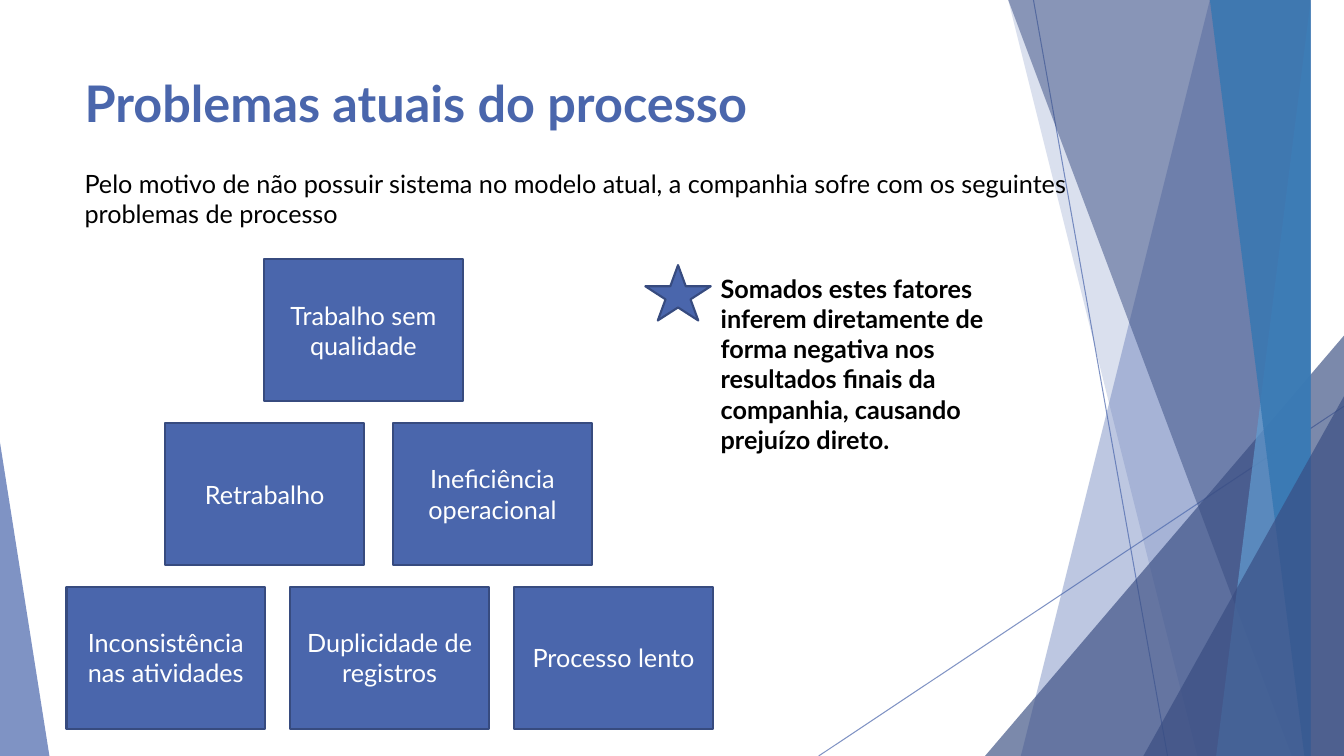
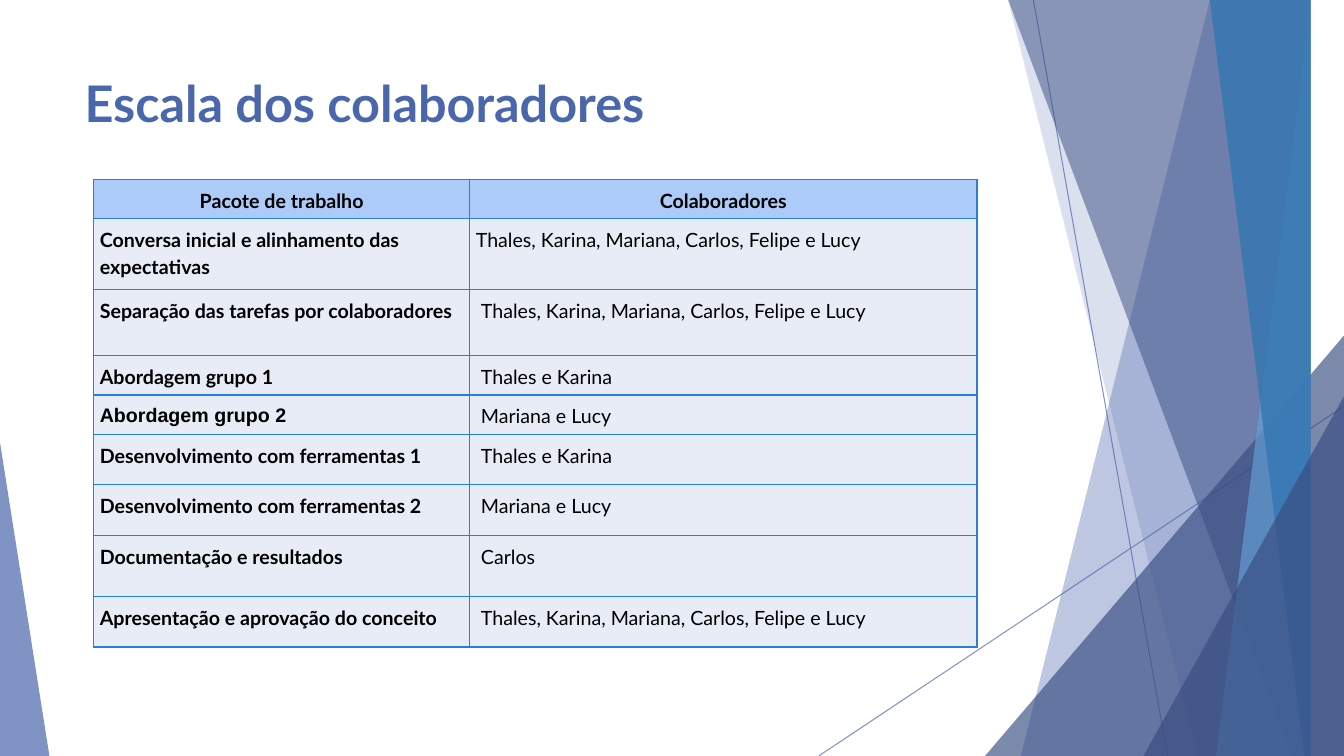
from dataclasses import dataclass

from lxml import etree
from pptx import Presentation
from pptx.dml.color import RGBColor
from pptx.enum.shapes import MSO_CONNECTOR, MSO_SHAPE
from pptx.enum.text import MSO_ANCHOR, PP_ALIGN
from pptx.oxml.ns import qn
from pptx.util import Inches, Pt

RECT, STAR, TRIANGLE = MSO_SHAPE.RECTANGLE, MSO_SHAPE.STAR_5_POINT, MSO_SHAPE.ISOSCELES_TRIANGLE
STRAIGHT = MSO_CONNECTOR.STRAIGHT
LEFT, CENTER = PP_ALIGN.LEFT, PP_ALIGN.CENTER
MIDDLE = MSO_ANCHOR.MIDDLE
W, H = 13.33, 7.5


@dataclass(frozen=True)
class Theme:
    font: str = "Lato"
    alt_font: str = "Arial"
    title_size: float = 36
    body_size: float = 18
    table_size: float = 14
    accent: str = "4A66AC"
    outline: str = "374B7F"
    navy: str = "384C81"
    sky: str = "629DD1"
    blue: str = "3477B2"
    text: str = "000000"
    white: str = "FFFFFF"
    border: str = "297FD5"
    header: str = "ACCBF9"
    cell: str = "E8ECF7"


@dataclass(frozen=True)
class Box:
    x: float
    y: float
    w: float
    h: float

    def emu(self):
        return [Inches(v) for v in (self.x, self.y, self.w, self.h)]

    def inner(self, dx, dy, w, h):
        """Box placed at an offset from this box's corner."""
        return Box(self.x + dx, self.y + dy, w, h)


THEME = Theme()
PAGE = Box(0, 0, W, H)
TITLE = Box(0.74, 0.67, 9.4, 0.8)

PROBLEM_ROWS = [  # left offset, column step, labels
    (1.96, 0, ["Trabalho sem qualidade"]),
    (0.98, 2.26, ["Retrabalho", "Ineficiência operacional"]),
    (0, 2.22, ["Inconsistência nas atividades", "Duplicidade de registros", "Processo lento"]),
]

EVERYONE = "Thales, Karina, Mariana, Carlos, Felipe e Lucy"
GROUP_1, GROUP_2 = "Thales e Karina", "Mariana e Lucy"
SCHEDULE = [  # row height, work package, people
    (0.39, "Pacote de trabalho", "Colaboradores"),
    (0.7, "Conversa inicial e alinhamento das expectativas", EVERYONE),
    (0.66, "Separação das tarefas por colaboradores", EVERYONE),
    (0.39, "Abordagem grupo 1", GROUP_1),
    (0.39, "Abordagem grupo 2", GROUP_2),
    (0.5, "Desenvolvimento com ferramentas 1", GROUP_1),
    (0.5, "Desenvolvimento com ferramentas 2", GROUP_2),
    (0.61, "Documentação e resultados", "Carlos"),
    (0.5, "Apresentação e aprovação do conceito", EVERYONE),
]
ARIAL_ROW = 4


def rgb(value):
    return RGBColor.from_string(value)


def set_alpha(fill_parent, percent):
    """Make the solid colour under the element partly transparent."""
    color = next(fill_parent.iter(qn("a:srgbClr")))
    etree.SubElement(color, qn("a:alpha")).set("val", str(percent * 1000))


def write(tf, text, size, color=THEME.text, bold=False, align=LEFT, font=THEME.font):
    tf.word_wrap = True
    tf.text = text
    p = tf.paragraphs[0]
    p.alignment = align
    for r in p.runs:
        r.font.name, r.font.size, r.font.bold = font, Pt(size), bold
        r.font.color.rgb = rgb(color)
    return p


def add_text(slide, box, text, size, **style):
    write(slide.shapes.add_textbox(*box.emu()).text_frame, text, size, **style)


def add_solid(slide, kind, box):
    sp = slide.shapes.add_shape(kind, *box.emu())
    sp.shadow.inherit = False
    sp.fill.solid()
    sp.fill.fore_color.rgb = rgb(THEME.accent)
    sp.line.color.rgb = rgb(THEME.outline)
    sp.line.width = Pt(1.5)
    return sp


def paint_facet(sp, color, alpha):
    sp.shadow.inherit = False
    sp.line.fill.background()
    sp.fill.solid()
    sp.fill.fore_color.rgb = rgb(color)
    set_alpha(sp.element.spPr, alpha)


def add_band(shapes, page, top_x, bottom_x, color, alpha):
    """Full-height facet from a slanted edge to the right side of the page."""
    right, bottom = page.x + page.w, page.y + page.h
    builder = shapes.build_freeform(page.x + top_x, page.y, scale=Inches(1))
    builder.add_line_segments(
        [(right, page.y), (right, bottom), (page.x + bottom_x, bottom)], close=True)
    paint_facet(builder.convert_to_shape(), color, alpha)


def add_corner(shapes, page, x, width, height, peak, color, alpha):
    """Right-angled facet standing on the bottom of the page."""
    box = page.inner(x, page.h - height, width, height)
    sp = shapes.add_shape(TRIANGLE, *box.emu())
    sp.adjustments[0] = peak
    paint_facet(sp, color, alpha)


def add_hairline(shapes, page, x1, y1, x2, y2):
    ends = (page.x + x1, page.y + y1, page.x + x2, page.y + y2)
    line = shapes.add_connector(STRAIGHT, *[Inches(v) for v in ends])
    line.line.color.rgb = rgb(THEME.accent)
    line.line.width = Pt(0.75)
    sp_pr = line.element.spPr
    set_alpha(sp_pr, 70)
    etree.SubElement(sp_pr, qn("a:effectLst"))


def add_backdrop(slide, layout, page):
    """Draw the facets, then move them to the layout that all slides share."""
    t = THEME
    group = slide.shapes.add_group_shape()
    shapes = group.shapes
    add_hairline(shapes, page, 10.25, 0, 11.58, page.h)
    add_hairline(shapes, page, page.w, 4.03, 8.12, page.h)
    add_band(shapes, page, 12.28, 10.04, t.accent, 36)
    add_band(shapes, page, 10.5, 11.83, t.accent, 20)
    add_corner(shapes, page, 9.77, 3.56, 4.17, 1, t.navy, 66)
    add_band(shapes, page, 10.21, 12.91, t.navy, 50)
    add_band(shapes, page, 13.03, 11.92, t.sky, 70)
    add_band(shapes, page, 11.96, 13.18, t.blue, 80)
    add_corner(shapes, page, 11.34, 1.99, 3.57, 1, t.navy, 66)
    add_corner(shapes, page, 0, 0.49, 3.11, 0, t.accent, 70)
    layout.shapes.element.append(group.element)


def add_title(slide, text):
    add_text(slide, TITLE, text, THEME.title_size, color=THEME.accent, bold=True)


def add_pyramid(slide, box):
    block_w, block_h = 1.97, 1.41
    row_step = (box.h - block_h) / (len(PROBLEM_ROWS) - 1)
    for row, (start, step, labels) in enumerate(PROBLEM_ROWS):
        for col, label in enumerate(labels):
            block = box.inner(start + col * step, row * row_step, block_w, block_h)
            sp = add_solid(slide, RECT, block)
            sp.text_frame.vertical_anchor = MIDDLE
            write(sp.text_frame, label, THEME.body_size, color=THEME.white, align=CENTER)


def add_conclusion(slide, box, text):
    star_w = 0.65
    add_solid(slide, STAR, box.inner(0, 0, star_w, 0.55))
    add_text(slide, box.inner(star_w, 0.03, box.w - star_w, box.h - 0.03),
             text, THEME.body_size, bold=True)


def style_cell(cell, fill, left_margin):
    tc_pr = cell._tc.get_or_add_tcPr()
    for side in ("lnL", "lnR", "lnT", "lnB"):
        ln = etree.SubElement(tc_pr, qn(f"a:{side}"), w=str(Pt(1)))
        solid = etree.SubElement(ln, qn("a:solidFill"))
        etree.SubElement(solid, qn("a:srgbClr"), val=THEME.border)
    cell.fill.solid()
    cell.fill.fore_color.rgb = rgb(fill)
    cell.margin_right = cell.margin_top = cell.margin_bottom = Inches(0.06)
    cell.margin_left = Inches(left_margin)


def add_schedule(slide, box):
    table = slide.shapes.add_table(len(SCHEDULE), 2, *box.emu()).table
    table.horz_banding = False
    package_w = 3.73
    for column, width in zip(table.columns, (package_w, box.w - package_w)):
        column.width = Inches(width)
    for i, (height, *texts) in enumerate(SCHEDULE):
        table.rows[i].height = Inches(height)
        for j, text in enumerate(texts):
            cell = table.cell(i, j)
            indented = j == 1 and i > 1
            style_cell(cell, THEME.cell if i else THEME.header, 0.11 if indented else 0.06)
            p = write(cell.text_frame, text, THEME.table_size,
                      bold=i == 0 or j == 0,
                      align=LEFT if i else CENTER,
                      font=THEME.alt_font if (i, j) == (ARIAL_ROW, 0) else THEME.font)
            p.line_spacing = 1.15


def build_problems(slide):
    add_title(slide, "Problemas atuais do processo")
    add_text(slide, Box(TITLE.x, 1.62, 9.94, 0.71),
             "Pelo motivo de não possuir sistema no modelo atual, a companhia sofre "
             "com os seguintes problemas de processo", THEME.body_size)
    add_pyramid(slide, Box(0.66, 2.57, 6.4, 4.66))
    add_conclusion(slide, Box(6.4, 2.63, 3.95, 1.95),
                   "Somados estes fatores inferem diretamente de forma negativa nos "
                   "resultados finais da companhia, causando prejuízo direto.")


def build_staffing(slide):
    add_title(slide, "Escala dos colaboradores")
    add_schedule(slide, Box(0.93, 1.78, 8.76, 4.64))


def main():
    prs = Presentation()
    prs.slide_width, prs.slide_height = Inches(W), Inches(H)
    blank = prs.slide_layouts[6]
    problems, staffing = [prs.slides.add_slide(blank) for _ in range(2)]
    add_backdrop(problems, blank, PAGE)
    build_problems(problems)
    build_staffing(staffing)
    prs.save("out.pptx")


if __name__ == "__main__":
    main()
